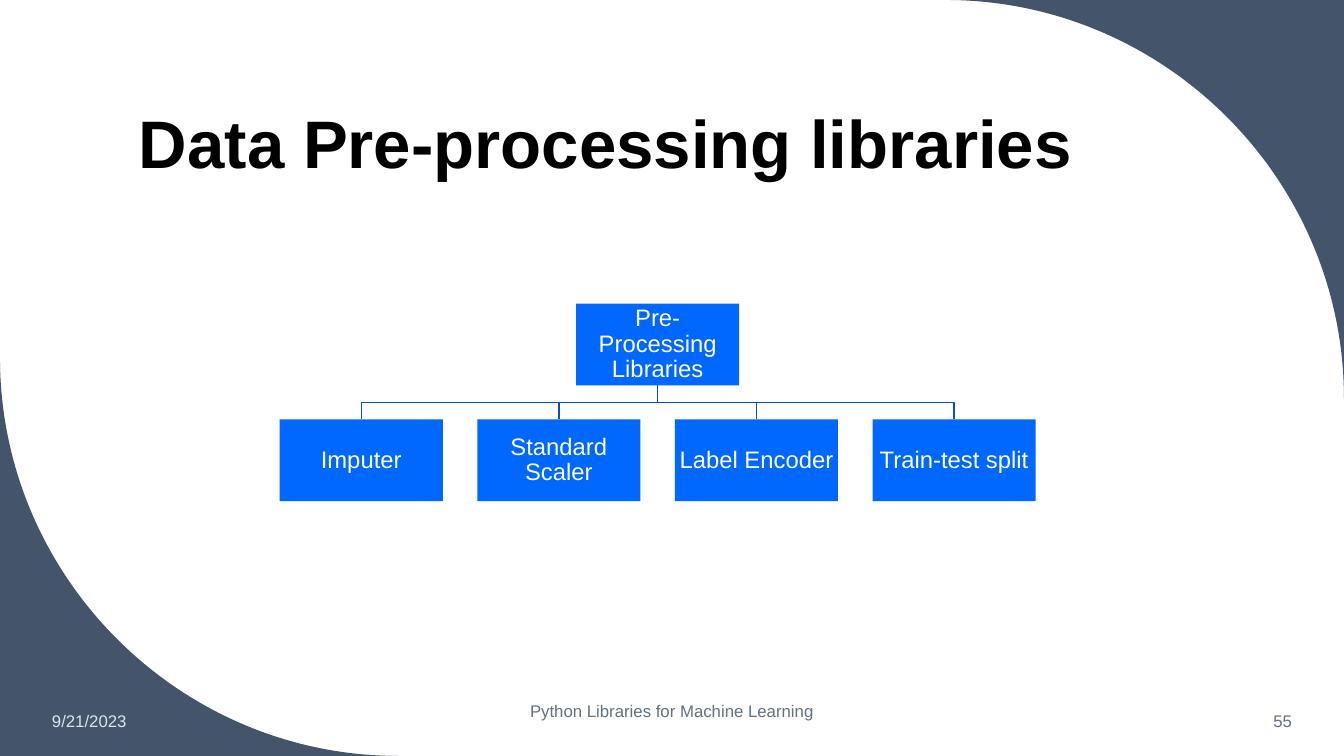
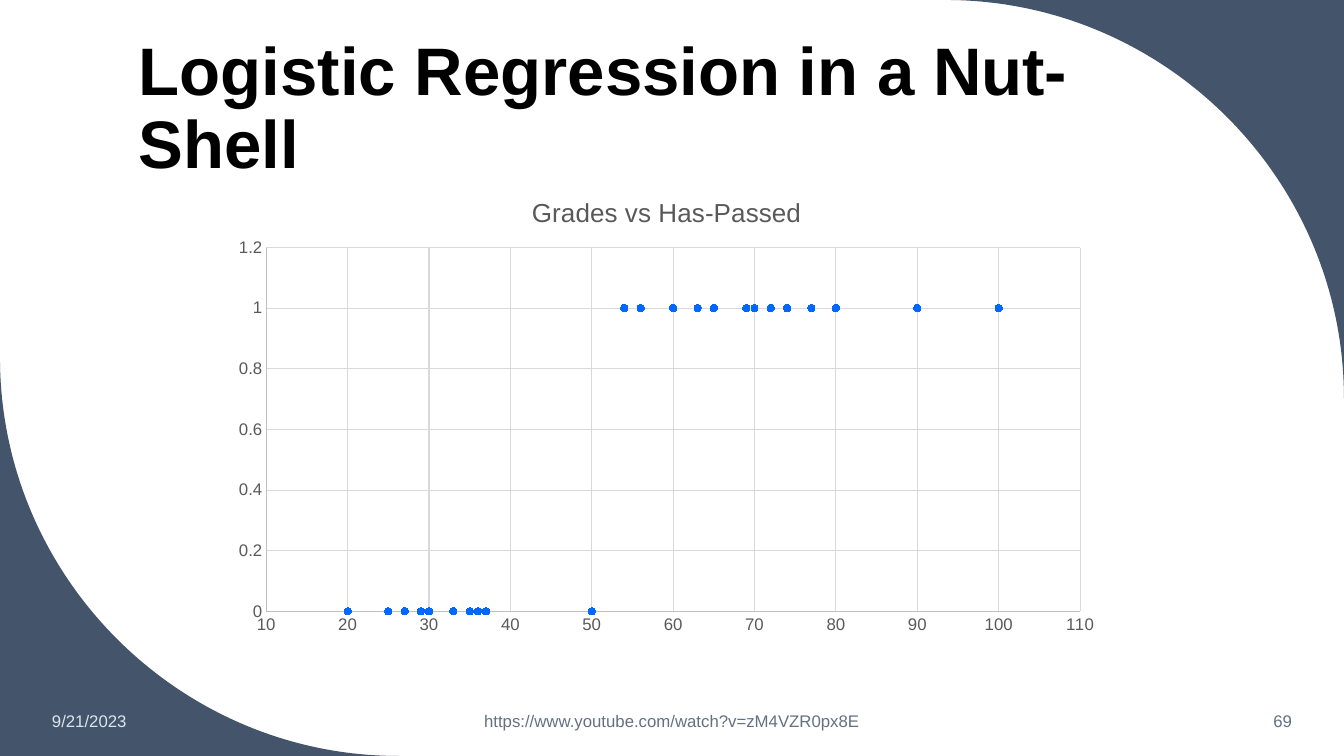
from lxml import etree
from pptx import Presentation
from pptx import util as u
from pptx.chart import data as chart_data
from pptx.dml.color import RGBColor
from pptx.enum import chart as charts, shapes, text
from pptx.oxml import ns

SLATE = RGBColor(0x44, 0x54, 0x6A)
BLACK = RGBColor(0x00, 0x00, 0x00)
WHITE = RGBColor(0xFF, 0xFF, 0xFF)
PALE_BLUE = RGBColor(0xDA, 0xE5, 0xEF)
FOOTER_GRAY = RGBColor(0x63, 0x71, 0x83)
BLUE = RGBColor(0x00, 0x67, 0xFF)
MARKER_BLUE = RGBColor(0x00, 0x68, 0xFF)
LINK_BLUE = RGBColor(0x00, 0x51, 0xCA)
CHART_TEXT = RGBColor(0x59, 0x59, 0x59)
AXIS_GRAY = RGBColor(0xBF, 0xBF, 0xBF)
GRID_GRAY = RGBColor(0xD9, 0xD9, 0xD9)

FONT = "Arial"
WIDTH, HEIGHT = 33.87, 19.05
CORNER_RADIUS = 10.04
ARC_HANDLE = 0.55
FOOTER_TOP, FOOTER_HEIGHT = 17.65, 1.02
LEFT, CENTER, RIGHT = text.PP_ALIGN.LEFT, text.PP_ALIGN.CENTER, text.PP_ALIGN.RIGHT

NODE_WIDTH, NODE_HEIGHT, NODE_PITCH = 4.11, 2.06, 4.98
CHILD_LEFT, ROOT_TOP, CHILD_TOP = 7.05, 7.65, 10.57

CHART_WIDTH, CHART_HEIGHT = 22.43, 11.79
GRADES = (20, 37, 54, 63, 29, 60, 50, 70, 100, 25, 30, 80, 27,
          35, 90, 65, 77, 74, 72, 56, 69, 33, 36, 25, 37)
PASS_MARK = 51


def style_font(font, size, color, bold=False):
    font.name, font.size, font.bold = FONT, u.Pt(size), bold
    font.color.rgb = color


def write_text(shape, content, *, size, color, bold=False, align=LEFT,
               anchor=text.MSO_ANCHOR.MIDDLE, spacing=1.0, insets=(0.25, 0.13)):
    frame = shape.text_frame
    frame.word_wrap = True
    frame.vertical_anchor = anchor
    frame.margin_left = frame.margin_right = u.Cm(insets[0])
    frame.margin_top = frame.margin_bottom = u.Cm(insets[1])
    paragraph = frame.paragraphs[0]
    paragraph.alignment, paragraph.line_spacing = align, spacing
    run = paragraph.add_run()
    run.text = content
    style_font(run.font, size, color, bold)


def add_text(slide, content, left, top, width, height, **text_format):
    box = slide.shapes.add_textbox(u.Cm(left), u.Cm(top), u.Cm(width), u.Cm(height))
    write_text(box, content, **text_format)


def add_outline(slide, points, close):
    start, *others = [(u.Cm(x), u.Cm(y)) for x, y in points]
    builder = slide.shapes.build_freeform(*start)
    builder.add_line_segments(others, close=close)
    outline = builder.convert_to_shape()
    outline.shadow.inherit = False
    return outline


def add_corner(slide, x, y, inward_x, inward_y):
    """Fill the area between a slide corner and a quarter circle."""
    far_x, far_y = x + inward_x * CORNER_RADIUS, y + inward_y * CORNER_RADIUS
    handle = CORNER_RADIUS * ARC_HANDLE
    corner = add_outline(slide, (
        (x, y), (far_x, y), (far_x - inward_x * handle, y),
        (x, far_y - inward_y * handle), (x, far_y)), close=True)
    corner.fill.solid()
    corner.fill.fore_color.rgb = SLATE
    corner.line.fill.background()

    # The last three segments become one Bézier curve.
    segments = list(corner._element.iter(ns.qn("a:lnTo")))[1:4]
    curve = etree.Element(ns.qn("a:cubicBezTo"))
    segments[0].addprevious(curve)
    for segment in segments:
        curve.append(segment[0])
        segment.getparent().remove(segment)


def add_slide(presentation, title, footer, number, footer_top=FOOTER_TOP):
    slide = presentation.slides.add_slide(presentation.slide_layouts[6])
    add_corner(slide, WIDTH, 0, -1, 1)
    add_corner(slide, 0, HEIGHT, 1, -1)
    add_text(slide, title, 3.25, 1.06, 27.15, 3.68, size=48, color=BLACK,
             bold=True, anchor=text.MSO_ANCHOR.BOTTOM, spacing=0.9)
    for content, left, top, width, color, align in (
            ("9/21/2023", 1.06, FOOTER_TOP, 4.72, PALE_BLUE, LEFT),
            (footer, 11.22, footer_top, 11.43, FOOTER_GRAY, CENTER),
            (number, 28.21, FOOTER_TOP, 4.6, FOOTER_GRAY, RIGHT)):
        add_text(slide, content, left, top, width, FOOTER_HEIGHT,
                 size=12, color=color, align=align)
    return slide


def add_node(slide, label, left, top):
    node = slide.shapes.add_shape(
        shapes.MSO_SHAPE.RECTANGLE, u.Cm(left), u.Cm(top),
        u.Cm(NODE_WIDTH), u.Cm(NODE_HEIGHT))
    node.shadow.inherit = False
    node.fill.solid()
    node.fill.fore_color.rgb = BLUE
    node.line.fill.background()
    write_text(node, label, size=17, color=WHITE, align=CENTER,
               spacing=0.9, insets=(0.03, 0.03))


def add_link(slide, parent_x, parent_y, child_x, child_y):
    """Join two nodes by a line with two right angles."""
    middle_y = (parent_y + child_y) / 2
    link = add_outline(slide, (
        (parent_x, parent_y), (parent_x, middle_y),
        (child_x, middle_y), (child_x, child_y)), close=False)
    link.fill.background()
    link.line.color.rgb = LINK_BLUE
    link.line.width = u.Pt(1)


def add_tree(slide, root, children):
    lefts = [CHILD_LEFT + index * NODE_PITCH for index in range(len(children))]
    root_left = (lefts[0] + lefts[-1]) / 2
    half = NODE_WIDTH / 2
    for left in reversed(lefts):
        add_link(slide, root_left + half, ROOT_TOP + NODE_HEIGHT, left + half, CHILD_TOP)
    add_node(slide, root, root_left, ROOT_TOP)
    for label, left in zip(children, lefts):
        add_node(slide, label, left, CHILD_TOP)


def style_axis(axis, minimum, maximum, step):
    axis.minimum_scale, axis.maximum_scale, axis.major_unit = minimum, maximum, step
    axis.major_tick_mark = axis.minor_tick_mark = charts.XL_TICK_MARK.NONE
    axis.has_major_gridlines = True
    style_font(axis.tick_labels.font, 12, CHART_TEXT)
    for line, color in ((axis.format.line, AXIS_GRAY),
                        (axis.major_gridlines.format.line, GRID_GRAY)):
        line.color.rgb = color
        line.width = u.Pt(0.75)


def place_plot(chart, left, top, width, height):
    """Fix the inner plot area, in centimetres from the chart's corner."""
    plot_area = chart._chartSpace.chart.plotArea
    for old_layout in plot_area.findall(ns.qn("c:layout")):
        plot_area.remove(old_layout)
    layout = etree.Element(ns.qn("c:layout"))
    manual = etree.SubElement(layout, ns.qn("c:manualLayout"))
    for tag, value in (("layoutTarget", "inner"), ("xMode", "edge"), ("yMode", "edge"),
                       ("x", left / CHART_WIDTH), ("y", top / CHART_HEIGHT),
                       ("w", width / CHART_WIDTH), ("h", height / CHART_HEIGHT)):
        etree.SubElement(manual, ns.qn("c:" + tag)).set("val", str(value))
    plot_area.insert(0, layout)


def add_grades_chart(slide):
    grades = chart_data.XyChartData()
    points = grades.add_series("Series 1")
    for grade in GRADES:
        points.add_data_point(grade, int(grade >= PASS_MARK))
    chart = slide.shapes.add_chart(
        charts.XL_CHART_TYPE.XY_SCATTER, u.Cm(5.59), u.Cm(4.42),
        u.Cm(CHART_WIDTH), u.Cm(CHART_HEIGHT), grades).chart
    style_font(chart.font, 10, BLACK)
    chart.has_legend = False
    chart.has_title = True
    chart.chart_title.include_in_layout = False
    title = chart.chart_title.text_frame
    title.text = "Grades vs Has-Passed"
    style_font(title.paragraphs[0].runs[0].font, 18.6, CHART_TEXT)
    style_axis(chart.category_axis, 10, 110, 10)
    style_axis(chart.value_axis, 0, 1.2, 0.2)
    place_plot(chart, 1.12, 1.82, 20.51, 9.17)
    plot = chart.plots[0]
    plot.vary_by_categories = False
    series = plot.series[0]
    series.format.line.fill.background()
    marker = series.marker
    marker.style, marker.size = charts.XL_MARKER_STYLE.CIRCLE, 5
    marker.format.fill.solid()
    marker.format.fill.fore_color.rgb = MARKER_BLUE
    marker.format.line.color.rgb = MARKER_BLUE


def main():
    presentation = Presentation()
    presentation.slide_width, presentation.slide_height = u.Cm(WIDTH), u.Cm(HEIGHT)

    libraries = add_slide(presentation, "Data Pre-processing libraries",
                          "Python Libraries for Machine Learning", "55", footer_top=17.4)
    add_tree(libraries, "Pre-Processing Libraries",
             ("Imputer", "Standard Scaler", "Label Encoder", "Train-test split"))

    regression = add_slide(presentation, "Logistic Regression in a Nut-Shell",
                           "https://www.youtube.com/watch?v=zM4VZR0px8E", "69")
    add_grades_chart(regression)

    presentation.save("out.pptx")


if __name__ == "__main__":
    main()
